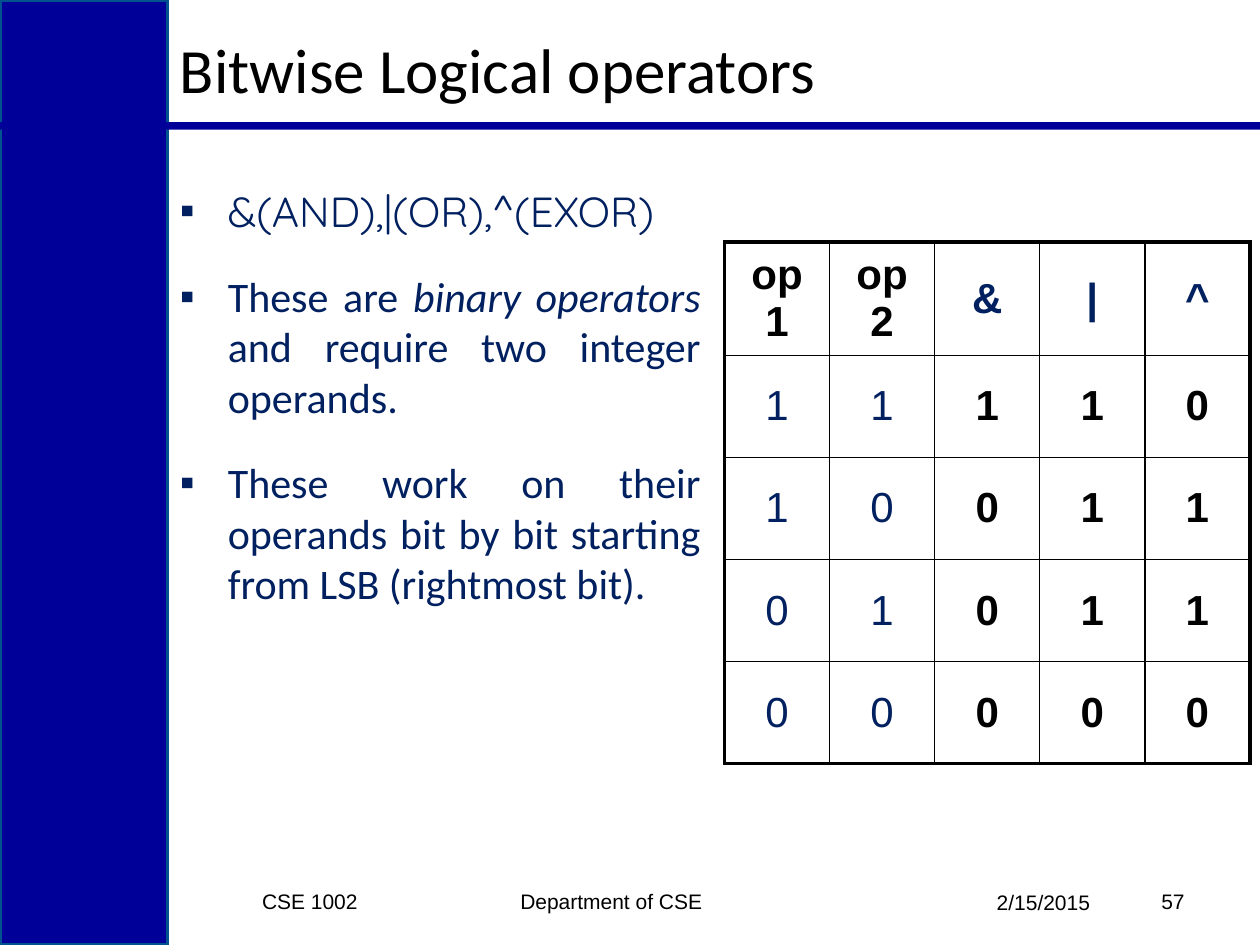
"""Build the slide on bitwise logical operators with its truth table."""
from lxml.etree import SubElement
from pptx import Presentation
from pptx.dml.color import RGBColor
from pptx.enum.shapes import MSO_SHAPE
from pptx.enum.text import MSO_ANCHOR, PP_ALIGN
from pptx.oxml.ns import qn
from pptx.util import Inches, Pt

BLUE = RGBColor(0x00, 0x00, 0x99)
EDGE = RGBColor(0x00, 0x53, 0x8E)
NAVY = RGBColor(0x00, 0x20, 0x60)
BLACK = RGBColor(0x00, 0x00, 0x00)

TITLE = "Bitwise Logical operators"
BULLETS = [
    [("&(AND),|(OR),^(EXOR)", "Quicksand", False)],
    [("These are ", "Calibri", False),
     ("binary operators ", "Calibri", True),
     ("and require two integer operands.", "Calibri", False)],
    [("These work on their operands bit by bit starting from LSB (rightmost bit).",
      "Calibri", False)],
]
HEADER = ["op1", "op2", "&", "|", "^"]
OPERANDS = [(1, 1), (1, 0), (0, 1), (0, 0)]
FOOTERS = [
    ("57", 8.75, 6.95, 0.75, PP_ALIGN.RIGHT),
    ("2/15/2015", 7, 6.96, 1.75, PP_ALIGN.RIGHT),
]
COURSE, DEPARTMENT = "CSE 1002", "Department of CSE"


def add_bar(s, left, top, width, height):
    sp = s.shapes.add_shape(MSO_SHAPE.RECTANGLE, Inches(left), Inches(top),
                            Inches(width), Inches(height))
    sp.shadow.inherit = False
    sp.fill.solid()
    sp.fill.fore_color.rgb = BLUE
    sp.line.fill.background()
    return sp


def add_box(s, left, top, width, height, anchor=MSO_ANCHOR.MIDDLE):
    tf = s.shapes.add_textbox(Inches(left), Inches(top),
                              Inches(width), Inches(height)).text_frame
    tf.word_wrap = True
    tf.vertical_anchor = anchor
    return tf


def add_run(p, text, size, font, color, bold=False, italic=False):
    r = p.add_run()
    r.text = text
    r.font.size = Pt(size)
    r.font.name = font
    r.font.color.rgb = color
    r.font.bold = bold
    r.font.italic = italic


def add_bullet(p):
    pPr = p._p.get_or_add_pPr()
    pPr.set("marL", str(Inches(0.38)))
    pPr.set("indent", str(-Inches(0.38)))
    SubElement(pPr, qn("a:buFont"), typeface="Arial")
    SubElement(pPr, qn("a:buChar"), char="▪")


def add_borders(cell, outer):
    tcPr = cell._tc.get_or_add_tcPr()
    for side in "LRTB":
        width = Pt(2.25 if outer[side] else 1)
        ln = SubElement(tcPr, qn(f"a:ln{side}"), w=str(width))
        fill = SubElement(ln, qn("a:solidFill"))
        SubElement(fill, qn("a:srgbClr"), val=str(BLACK))


def add_truth_table(s):
    rows = [HEADER] + [[a, b, a & b, a | b, a ^ b] for a, b in OPERANDS]
    n, m = len(rows), len(HEADER)
    table = s.shapes.add_table(n, m, Inches(5.75), Inches(1.92),
                               Inches(4.17), Inches(4.13)).table
    table.first_row = table.horz_banding = False
    for i, row in enumerate(rows):
        table.rows[i].height = Inches(0.81 if i else 0.9)
        for j, value in enumerate(row):
            cell = table.cell(i, j)
            cell.margin_left = cell.margin_right = Inches(0.19)
            cell.vertical_anchor = MSO_ANCHOR.MIDDLE
            add_borders(cell, {"L": j == 0, "R": j == m - 1,
                               "T": i == 0, "B": i == n - 1})
            cell.fill.background()
            p = cell.text_frame.paragraphs[0]
            p.alignment = PP_ALIGN.CENTER
            operand = j < 2
            navy = operand == (i > 0)
            add_run(p, str(value), 24, "Arial", NAVY if navy else BLACK,
                    bold=i == 0 or not operand)


def main():
    prs = Presentation()
    prs.slide_width, prs.slide_height = Inches(10), Inches(7.5)
    s = prs.slides.add_slide(prs.slide_layouts[6])

    sidebar = add_bar(s, 0, 0, 1.33, 7.5)
    sidebar.line.color.rgb = EDGE
    sidebar.line.width = Pt(2)
    add_bar(s, 0, 0.97, 10, 0.06)

    add_truth_table(s)

    tf = add_box(s, 1.33, 0.17, 7.83, 0.75)
    add_run(tf.paragraphs[0], TITLE, 36, "Calibri", BLACK)

    tf = add_box(s, 1.33, 1.42, 4.33, 5.42, MSO_ANCHOR.TOP)
    for i, runs in enumerate(BULLETS):
        p = tf.add_paragraph() if i else tf.paragraphs[0]
        add_bullet(p)
        p.alignment = PP_ALIGN.JUSTIFY
        if i:
            p.space_before = Pt(20)
        for text, font, italic in runs:
            add_run(p, text, 24, font, NAVY, italic=italic)

    for text, left, top, width, align in FOOTERS:
        p = add_box(s, left, top, width, 0.4).paragraphs[0]
        p.alignment = align
        add_run(p, text, 12, "Arial", BLACK)

    tf = add_box(s, 1.42, 6.95, 4.83, 0.4)
    tf.margin_left = Inches(0.66)
    p = tf.paragraphs[0]
    tabs = SubElement(p._p.get_or_add_pPr(), qn("a:tabLst"))
    SubElement(tabs, qn("a:tab"), pos=str(Inches(2.05)), algn="l")
    add_run(p, f"{COURSE}\t{DEPARTMENT}", 12, "Arial", BLACK)

    prs.save("out.pptx")


if __name__ == "__main__":
    main()
